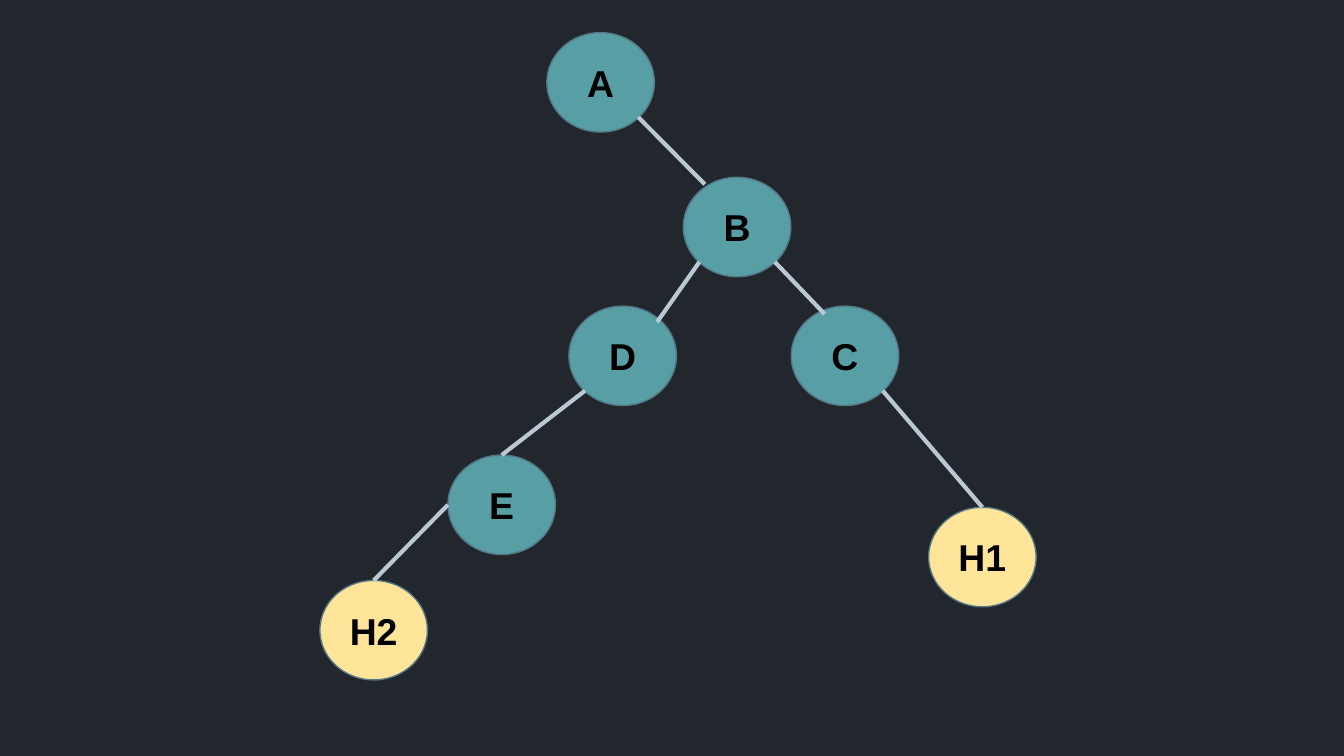
"""Build a slide with a binary tree of labelled nodes."""
from dataclasses import dataclass

from lxml import etree
from pptx import Presentation
from pptx.dml.color import RGBColor
from pptx.enum import shapes, text
from pptx.oxml import ns
from pptx.util import Pt


@dataclass(frozen=True)
class Theme:
    """Hold the colours, type and sizes of the slide."""
    back: str = "22262D"
    inner: str = "589EA5"
    leaf: str = "FFE599"
    outline: str = "547786"
    edge: str = "BAC8D3"
    ink: str = "000000"
    font: str = "Arial"
    label: float = 20
    width: float = 57.6
    height: float = 53.3
    inset: float = 7.2


THEME = Theme()
TOP, LEFT = (0.5, 0), (0, 0.5)
LOWER_LEFT, LOWER_RIGHT = (0.15, 0.85), (0.85, 0.85)

NODES = {
    "A": (293, 17.5, THEME.inner),
    "B": (366.1, 95, THEME.inner),
    "C": (423.9, 164, THEME.inner),
    "D": (304.8, 164, THEME.inner),
    "E": (240, 243.8, THEME.inner),
    "H1": (497.5, 271.8, THEME.leaf),
    "H2": (171.4, 311, THEME.leaf),
}
EDGES = [
    ("B", (0.2, 0.07), "A", LOWER_RIGHT),
    ("D", (0.82, 0.16), "B", LOWER_LEFT),
    ("C", (0.31, 0.08), "B", LOWER_RIGHT),
    ("E", TOP, "D", LOWER_LEFT),
    ("H2", TOP, "E", LEFT),
    ("H1", TOP, "C", LOWER_RIGHT),
]


def rgb(value):
    """Return a colour object for a hex string."""
    return RGBColor.from_string(value)


def set_all(target, values):
    """Set each named attribute on the target."""
    for name, value in values.items():
        setattr(target, name, value)


def add_node(s, label, left, top, fill):
    """Add one labelled ellipse and return it."""
    sp = s.shapes.add_shape(shapes.MSO_SHAPE.OVAL, Pt(left), Pt(top),
                            Pt(THEME.width), Pt(THEME.height))
    sp.shadow.inherit = False
    sp.fill.solid()
    sp.fill.fore_color.rgb = rgb(fill)
    sp.line.color.rgb = rgb(THEME.outline)
    sp.line.width = Pt(0.75)
    tf = sp.text_frame
    set_all(tf, {"vertical_anchor": text.MSO_ANCHOR.MIDDLE, "word_wrap": True})
    set_all(tf, {f"margin_{side}": Pt(THEME.inset)
                 for side in ("left", "top", "right", "bottom")})
    p = tf.paragraphs[0]
    p.alignment = text.PP_ALIGN.CENTER
    r = p.add_run()
    r.text = label
    set_all(r.font, {"name": THEME.font, "size": Pt(THEME.label), "bold": True})
    r.font.color.rgb = rgb(THEME.ink)
    return sp


def point_on(sp, anchor):
    """Return the slide position of a fractional anchor on a shape."""
    x, y = anchor
    return round(sp.left + x * sp.width), round(sp.top + y * sp.height)


def add_edge(s, child, child_anchor, parent, parent_anchor):
    """Draw a line from a child node to its parent."""
    line = s.shapes.add_connector(shapes.MSO_CONNECTOR.STRAIGHT,
                                  *point_on(child, child_anchor),
                                  *point_on(parent, parent_anchor))
    if child_anchor == TOP:
        line.begin_connect(child, 0)
    line.line.color.rgb = rgb(THEME.edge)
    line.line.width = Pt(2.25)
    etree.SubElement(line._element.spPr, ns.qn("a:effectLst"))


def main():
    """Build and save the tree slide."""
    prs = Presentation()
    set_all(prs, {"slide_width": Pt(720), "slide_height": Pt(405)})
    s = prs.slides.add_slide(prs.slide_layouts[6])
    s.background.fill.solid()
    s.background.fill.fore_color.rgb = rgb(THEME.back)
    nodes = {label: add_node(s, label, *place) for label, place in NODES.items()}
    for child, child_anchor, parent, parent_anchor in EDGES:
        add_edge(s, nodes[child], child_anchor, nodes[parent], parent_anchor)
    prs.save("out.pptx")


if __name__ == "__main__":
    main()
